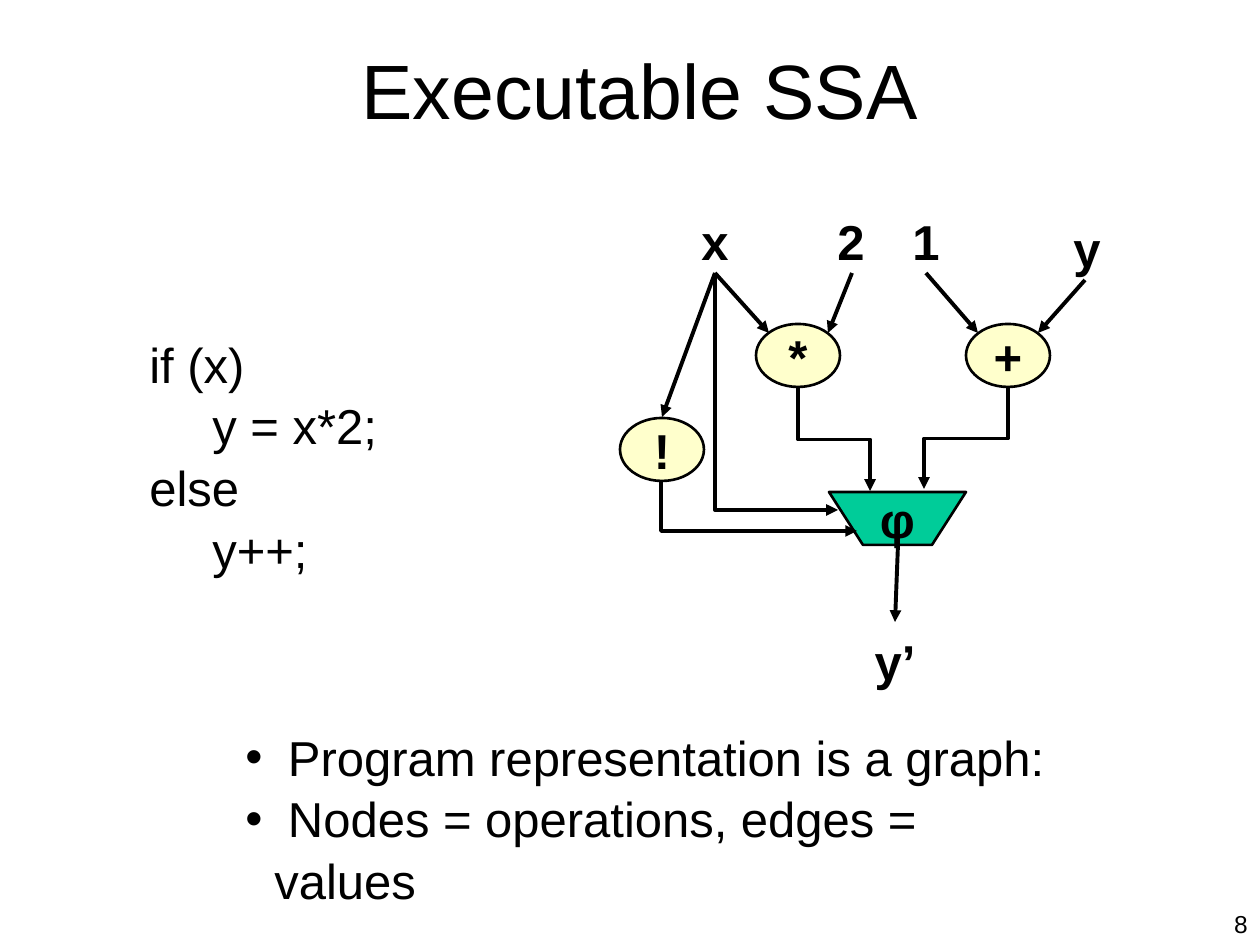
from lxml.etree import SubElement
from pptx import Presentation
from pptx.dml.color import RGBColor
from pptx.enum.shapes import MSO_CONNECTOR, MSO_SHAPE
from pptx.enum.text import MSO_ANCHOR, PP_ALIGN
from pptx.oxml.ns import qn
from pptx.util import Pt

EMU_PER_PX = 914400 / 126
BLACK = RGBColor(0x00, 0x00, 0x00)
CREAM = RGBColor(0xFF, 0xFF, 0xCC)
GREEN = RGBColor(0x00, 0xCC, 0x99)


def px(length):
    return round(length * EMU_PER_PX)


def add_bullet(paragraph, indent):
    properties = paragraph._p.get_or_add_pPr()
    properties.set("marL", str(px(indent)))
    properties.set("indent", str(-px(indent)))
    SubElement(properties, qn("a:buFont"), typeface="Arial")
    SubElement(properties, qn("a:buChar"), char="•")


def write_text(shape, text, size=28, bold=False, align=PP_ALIGN.LEFT,
               anchor=MSO_ANCHOR.TOP, wrap=False, spacing=1.05, bullet_indent=None):
    frame = shape.text_frame
    frame.word_wrap = wrap
    frame.vertical_anchor = anchor
    for index, line in enumerate(text.split("\n")):
        paragraph = frame.add_paragraph() if index else frame.paragraphs[0]
        paragraph.alignment = align
        paragraph.line_spacing = spacing
        if bullet_indent:
            add_bullet(paragraph, bullet_indent)
        run = paragraph.add_run()
        run.text = line
        run.font.name = "Arial"
        run.font.size = Pt(size)
        run.font.bold = bold
        run.font.color.rgb = BLACK


class GraphSlide:
    node_size = (84, 63)
    outline = Pt(1.5)
    edge_width = Pt(2.25)

    def __init__(self, slide):
        self.slide = slide

    def text(self, left, top, width, height, text, **text_format):
        box = self.slide.shapes.add_textbox(px(left), px(top), px(width), px(height))
        write_text(box, text, **text_format)

    def label(self, left, top, width, text):
        self.text(left, top, width, 72, text, bold=True, align=PP_ALIGN.RIGHT)

    def style_node(self, shape, fill, text):
        shape.shadow.inherit = False
        shape.fill.solid()
        shape.fill.fore_color.rgb = fill
        shape.line.color.rgb = BLACK
        shape.line.width = self.outline
        write_text(shape, text, bold=True, align=PP_ALIGN.CENTER,
                   anchor=MSO_ANCHOR.MIDDLE, spacing=1.0)

    def operation(self, left, top, text):
        width, height = self.node_size
        shape = self.slide.shapes.add_shape(
            MSO_SHAPE.OVAL, px(left), px(top), px(width), px(height))
        self.style_node(shape, CREAM, text)

    def multiplexer(self, corners, text):
        start, *others = corners
        builder = self.slide.shapes.build_freeform(*start, scale=EMU_PER_PX)
        builder.add_line_segments(others, close=True)
        self.style_node(builder.convert_to_shape(), GREEN, text)

    def arrow(self, start, end, kind=MSO_CONNECTOR.STRAIGHT):
        connector = self.slide.shapes.add_connector(
            kind, *map(px, start), *map(px, end))
        connector.line.color.rgb = BLACK
        connector.line.width = self.edge_width
        line = connector.line._get_or_add_ln()
        SubElement(line, qn("a:tailEnd"), type="triangle")
        SubElement(connector._element.spPr, qn("a:effectLst"))
        return connector

    def elbow(self, start, end, preset="bentConnector3"):
        """Draw an arrow that leaves downwards, by turning a sideways elbow."""
        (x1, y1), (x2, y2) = start, end
        center_x, center_y = (x1 + x2) / 2, (y1 + y2) / 2
        half_width, half_height = (y2 - y1) / 2, abs(x2 - x1) / 2
        connector = self.arrow((center_x - half_width, center_y - half_height),
                               (center_x + half_width, center_y + half_height),
                               MSO_CONNECTOR.ELBOW)
        properties = connector._element.spPr
        properties.find(qn("a:prstGeom")).set("prst", preset)
        transform = properties.find(qn("a:xfrm"))
        goes_right = x2 > x1
        transform.set("rot", str((270 if goes_right else 90) * 60000))
        if goes_right:
            transform.set("flipH", "1")


def main():
    presentation = Presentation()
    presentation.slide_width, presentation.slide_height = px(1260), px(945)
    graph = GraphSlide(presentation.slides.add_slide(presentation.slide_layouts[6]))

    graph.text(94, 42, 1071, 94, " Executable SSA", size=44, wrap=True,
               align=PP_ALIGN.CENTER, anchor=MSO_ANCHOR.MIDDLE, spacing=1.0)
    graph.text(137, 325, 315, 248, "if (x)\n\ty = x*2;\nelse\n\ty++;")

    for left, top, operator in ((756, 324, "*"), (966, 324, "+"), (620, 418, "!")):
        graph.operation(left, top, operator)
    graph.multiplexer(((829, 492), (966, 492), (932, 545), (863, 545)), "φ")

    for left, top, width, name in ((689, 202, 52, "x"), (825, 202, 52, "2"),
                                   (900, 202, 52, "1"), (1061, 209, 49, "y"),
                                   (862, 622, 66, "y’")):
        graph.label(left, top, width, name)

    x_source = (715, 273)
    for start, end in ((x_source, (769, 333)), (x_source, (662, 417)),
                       ((852, 273), (828, 333)), ((926, 273), (978, 333)),
                       ((1085, 280), (1038, 333)), ((898, 545), (895, 622))):
        graph.arrow(start, end)
    graph.elbow((798, 388), (870, 491))
    graph.elbow((1008, 388), (924, 489))
    graph.elbow((661, 482), (857, 531), preset="bentConnector2")
    graph.elbow(x_source, (838, 510), preset="bentConnector2")

    graph.text(233, 718, 825, 131,
               " Program representation is a graph:\n Nodes = operations, edges = values",
               wrap=True, bullet_indent=29)
    graph.text(1176, 903, 84, 42, "8", size=14, align=PP_ALIGN.RIGHT,
               wrap=True, spacing=1.0)
    presentation.save("out.pptx")


if __name__ == "__main__":
    main()
